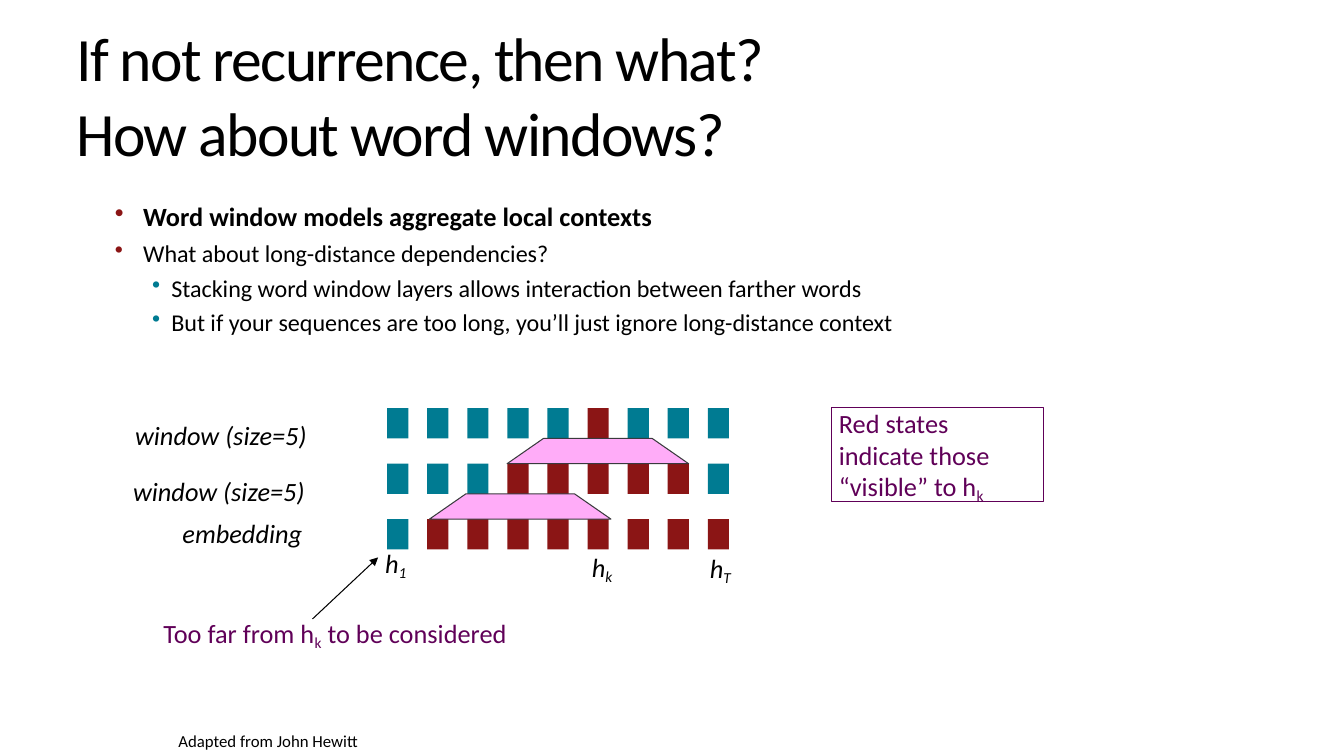
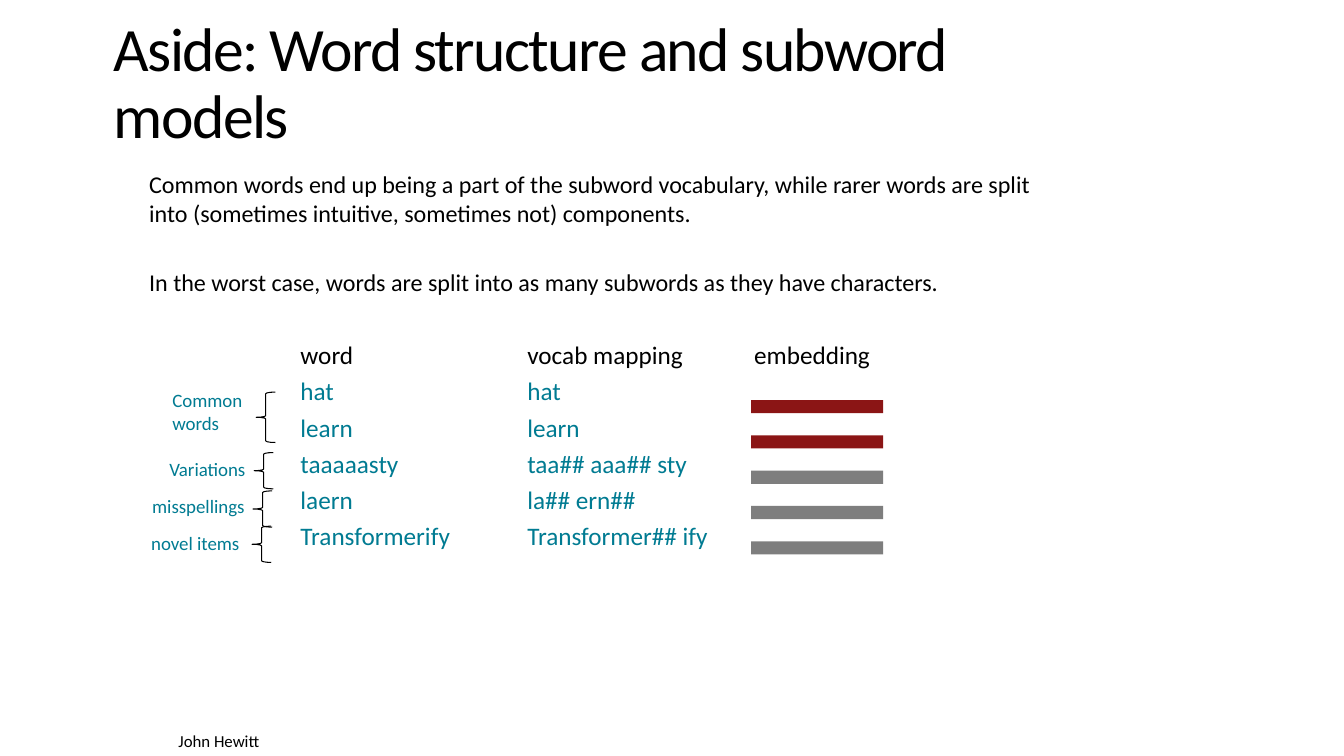
"""Build two slides on word windows and subword models."""
from lxml import etree
from pptx import Presentation
from pptx import util as u
from pptx.dml.color import RGBColor
from pptx.enum import shapes, text
from pptx.oxml.ns import qn

FONT = "Calibri"
BLACK, TEAL, RED, PURPLE = "000000", "007B92", "8B1515", "600058"
PINK, OUTLINE, GREY = "FFACF8", "393A3D", "7E7E7E"

WINDOW_TITLE = ["If not recurrence, then what?", "How about word windows?"]
BULLETS = [
    (0, "Word window models aggregate local contexts", 18.8, True, 0),
    (0, "What about long-distance dependencies?", 17.2, False, 4.4),
    (1, "Stacking word window layers allows interaction between farther words", 17.2, False, 4.1),
    (1, "But if your sequences are too long, you’ll just ignore long-distance context", 17.2, False, 4.1),
]
BULLET_LEVELS = [(0.29, -0.28, RED), (0.57, -0.19, TEAL)]
STATE_ROWS = ["-----x---", "---xxxxx-", "-xxxxxxxx"]
WINDOWS = [(5.03, 4.35), (4.26, 4.9)]
LAYER_LABELS = [
    (1.34, 4.16, "window (size=5)"),
    (1.32, 4.71, "window (size=5)"),
    (1.81, 5.13, "embedding"),
]
STATE_LABELS = [(3.82, 5.43, "1"), (5.87, 5.47, "k"), (7.04, 5.48, "T")]
VISIBLE_NOTE = [["Red states"], ["indicate those"], ["“visible” to h", "k"]]
FAR_NOTE = [["Too far from h", "k", " to be considered"]]

SUBWORD_TITLE = ["Aside: Word structure and subword models"]
SUBWORD_POINTS = [
    ["Common words end up being a part of the subword vocabulary, while rarer words "
     "are split into (sometimes intuitive, sometimes not) components."],
    ["In the worst case, words are split into as many subwords as they have characters."],
]
VOCABULARY = [
    ("word", "vocab mapping", "embedding"),
    ("hat", "hat", ""),
    ("learn", "learn", ""),
    ("taaaaasty", "taa## aaa## sty", ""),
    ("laern", "la## ern##", ""),
    ("Transformerify", "Transformer## ify", ""),
]
COLUMN_WIDTHS = [2.25, 2.25, 1.6]
EMBEDDING_COLORS = [RED, RED, GREY, GREY, GREY]
WORD_GROUPS = [
    (1.71, 3.86, [["Common"], ["words"]], (2.54, 3.89, 0.19, 0.5)),
    (1.68, 4.54, [["Variations"]], (2.52, 4.49, 0.19, 0.36)),
    (1.51, 4.91, [["misspellings"]], (2.51, 4.87, 0.19, 0.36)),
    (1.5, 5.27, [["novel items"]], (2.5, 5.22, 0.19, 0.36)),
]


def rgb(color):
    return RGBColor.from_string(color)


def inches(*lengths):
    return [u.Inches(length) for length in lengths]


def style_font(font, size, color, bold=False, italic=False):
    font.name, font.size, font.color.rgb = FONT, u.Pt(size), rgb(color)
    font.bold, font.italic = bold, italic


def clear_margins(frame):
    frame.margin_left = frame.margin_top = frame.margin_right = frame.margin_bottom = 0


def fill_text(frame, paragraphs, size, color, italic=False, gap=0):
    """Write paragraphs whose pieces alternate between plain and subscript."""
    clear_margins(frame)
    for row, pieces in enumerate(paragraphs):
        paragraph = frame.paragraphs[0] if row == 0 else frame.add_paragraph()
        paragraph.alignment = text.PP_ALIGN.LEFT
        if row and gap:
            paragraph.space_before = u.Pt(gap)
        for place, piece in enumerate(pieces):
            run = paragraph.add_run()
            run.text = piece
            style_font(run.font, size, color, italic=italic)
            if place % 2:
                run._r.get_or_add_rPr().set("baseline", "-20000")


def add_label(slide, box, paragraphs, size, color, italic=False, wrap=False, gap=0):
    frame = slide.shapes.add_textbox(*inches(*box)).text_frame
    frame.word_wrap = wrap
    fill_text(frame, paragraphs, size, color, italic, gap)


def add_block(slide, kind, box, fill=None, line=None):
    block = slide.shapes.add_shape(kind, *inches(*box))
    block.shadow.inherit = False
    if fill:
        block.fill.solid()
        block.fill.fore_color.rgb = rgb(fill)
    else:
        block.fill.background()
    if line:
        block.line.color.rgb = rgb(line)
        block.line.width = u.Pt(0.75)
    else:
        block.line.fill.background()
    return block


def start_slide(deck, title_lines, box, spacing, credit):
    slide = deck.slides.add_slide(deck.slide_layouts[5])
    title = slide.shapes.title
    title.left, title.top, title.width, title.height = inches(*box)
    frame = title.text_frame
    frame.text = "\v".join(title_lines)
    clear_margins(frame)
    frame.word_wrap = True
    frame.auto_size = text.MSO_AUTO_SIZE.NONE
    frame.vertical_anchor = text.MSO_ANCHOR.MIDDLE
    paragraph = frame.paragraphs[0]
    paragraph.alignment = text.PP_ALIGN.LEFT
    paragraph.line_spacing = spacing
    for run in paragraph.runs:
        style_font(run.font, 44, BLACK)
        run._r.get_or_add_rPr().set("spc", "-120")
    add_label(slide, (1.77, 7.25, 2, 0.2), [[credit]], 12, BLACK)
    return slide


def add_bullets(slide):
    frame = slide.shapes.add_textbox(*inches(1.13, 1.99, 7.96, 1.36)).text_frame
    frame.word_wrap = True
    clear_margins(frame)
    for row, (level, words, size, bold, gap) in enumerate(BULLETS):
        paragraph = frame.paragraphs[0] if row == 0 else frame.add_paragraph()
        paragraph.text = words
        paragraph.level = level
        paragraph.space_before = u.Pt(gap)
        margin, indent, color = BULLET_LEVELS[level]
        properties = paragraph._p.get_or_add_pPr()
        properties.set("marL", str(u.Inches(margin)))
        properties.set("indent", str(u.Inches(indent)))
        bullet_color = etree.SubElement(properties, qn("a:buClr"))
        etree.SubElement(bullet_color, qn("a:srgbClr"), val=color)
        etree.SubElement(properties, qn("a:buChar"), char="•")
        style_font(paragraph.runs[0].font, size, BLACK, bold)


def add_arrow(slide, start, end):
    arrow = slide.shapes.add_connector(
        shapes.MSO_CONNECTOR.STRAIGHT, *inches(*start, *end))
    arrow.line.color.rgb = rgb(BLACK)
    arrow.line.width = u.Pt(0.75)
    etree.SubElement(arrow.line._get_or_add_ln(), qn("a:tailEnd"), type="triangle")
    etree.SubElement(arrow._element.spPr, qn("a:effectLst"))


def build_window_slide(deck):
    slide = start_slide(deck, WINDOW_TITLE, (0.76, 0.19, 10.54, 1.48), 1.01,
                        "Adapted from John Hewitt")
    add_bullets(slide)
    step = (7.02 - 3.84) / (len(STATE_ROWS[0]) - 1)
    for row, states in enumerate(STATE_ROWS):
        for column, state in enumerate(states):
            box = (3.84 + column * step, 4.05 + row * 0.55, 0.21, 0.3)
            add_block(slide, shapes.MSO_SHAPE.RECTANGLE, box, RED if state == "x" else TEAL)
    for left, top in WINDOWS:
        window = add_block(slide, shapes.MSO_SHAPE.TRAPEZOID, (left, top, 1.8, 0.25),
                           PINK, OUTLINE)
        window.adjustments[0] = 1.44
    for left, top, label in LAYER_LABELS:
        add_label(slide, (left, top, 1.72, 0.32), [[label]], 18.8, BLACK, italic=True)
    for left, top, index in STATE_LABELS:
        add_label(slide, (left, top, 0.26, 0.32), [["h", index]], 18.8, BLACK, italic=True)
    note = add_block(slide, shapes.MSO_SHAPE.RECTANGLE, (8.25, 4.04, 2.1, 0.94), line=PURPLE)
    fill_text(note.text_frame, VISIBLE_NOTE, 18.8, PURPLE)
    note.text_frame.margin_left = u.Inches(0.07)
    note.text_frame.vertical_anchor = text.MSO_ANCHOR.TOP
    add_label(slide, (1.62, 6.12, 3.55, 0.32), FAR_NOTE, 18.8, PURPLE)
    add_arrow(slide, (3.1, 6.14), (3.75, 5.53))


def add_vocabulary(slide):
    box = inches(2.97, 3.35, sum(COLUMN_WIDTHS), 0.36 * len(VOCABULARY))
    table = slide.shapes.add_table(len(VOCABULARY), len(COLUMN_WIDTHS), *box).table
    table.first_row = table.horz_banding = False
    for column, width in zip(table.columns, COLUMN_WIDTHS):
        column.width = u.Inches(width)
    for row, entries in enumerate(VOCABULARY):
        for column, entry in enumerate(entries):
            cell = table.cell(row, column)
            cell.fill.background()
            clear_margins(cell)
            cell.margin_left = u.Inches(0.01)
            cell.vertical_anchor = text.MSO_ANCHOR.MIDDLE
            cell.text = entry
            style_font(cell.text_frame.paragraphs[0].font, 18, TEAL if row else BLACK)


def build_subword_slide(deck):
    slide = start_slide(deck, SUBWORD_TITLE, (1.13, 0.14, 9.99, 1.41), 0.9, "John Hewitt")
    add_label(slide, (1.48, 1.68, 8.87, 1.27), SUBWORD_POINTS, 17.2, BLACK,
              wrap=True, gap=28.8)
    add_vocabulary(slide)
    for row, color in enumerate(EMBEDDING_COLORS):
        add_block(slide, shapes.MSO_SHAPE.RECTANGLE,
                  (7.45, 3.97 + row * 0.35, 1.31, 0.13), color)
    for left, top, label, brace in WORD_GROUPS:
        add_label(slide, (left, top, 0.94, 0.23 * len(label)), label, 13.5, TEAL)
        add_block(slide, shapes.MSO_SHAPE.LEFT_BRACE, brace, line=BLACK)


def main():
    deck = Presentation()
    deck.slide_width, deck.slide_height = inches(13.33, 7.5)
    build_window_slide(deck)
    build_subword_slide(deck)
    deck.save("out.pptx")


if __name__ == "__main__":
    main()
